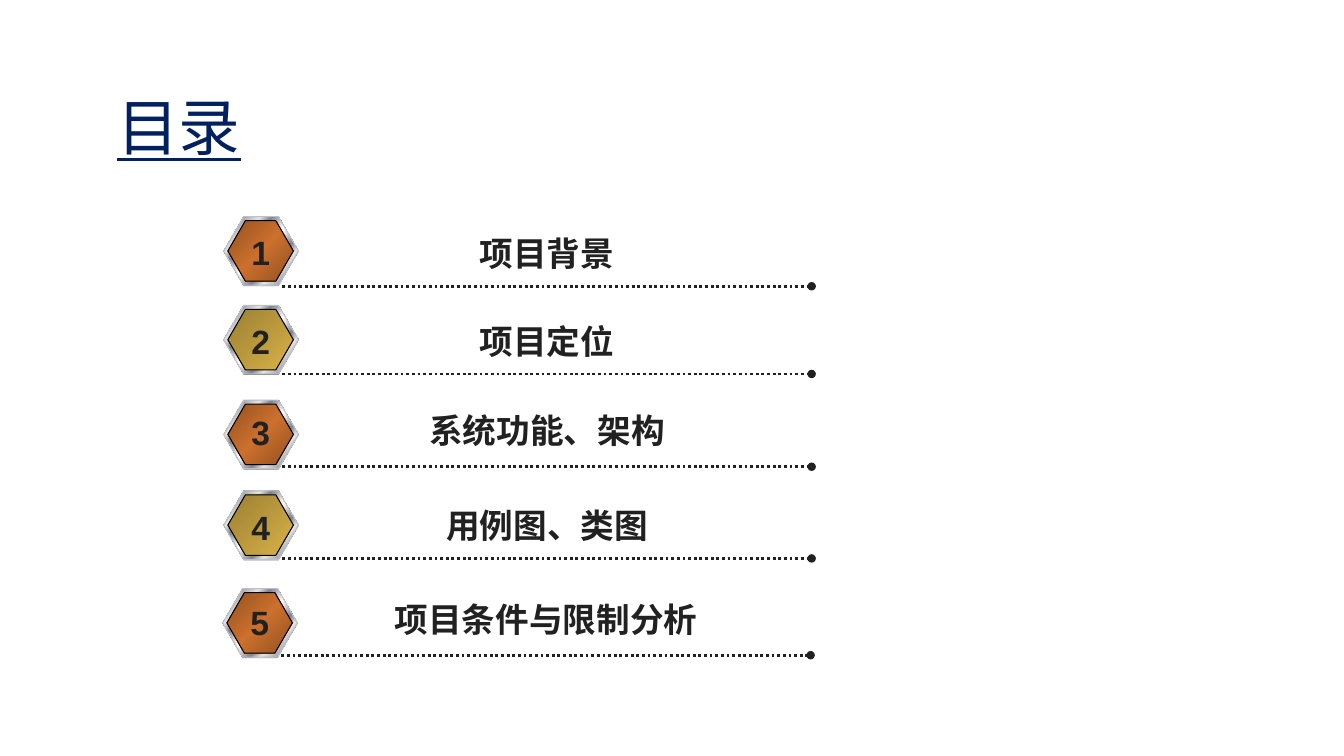
from lxml import etree
from pptx import Presentation
from pptx.dml.color import RGBColor
from pptx.enum.dml import MSO_LINE
from pptx.enum.shapes import MSO_CONNECTOR, MSO_SHAPE
from pptx.enum.text import MSO_ANCHOR, MSO_AUTO_SIZE, PP_ALIGN
from pptx.oxml.ns import qn
from pptx.util import Pt

PX = 9144
HEX = MSO_SHAPE.HEXAGON
LINE = MSO_CONNECTOR.STRAIGHT
DOTS = MSO_LINE.ROUND_DOT
CENTER = PP_ALIGN.CENTER
MIDDLE = MSO_ANCHOR.MIDDLE
TOP = MSO_ANCHOR.TOP
FIT = MSO_AUTO_SIZE.SHAPE_TO_FIT_TEXT
FIXED = MSO_AUTO_SIZE.NONE

COLORS = {
    "title": "002060", "ink": "212121", "shade": "808080",
    "edge": "C0C0C0", "black": "000000", "white": "FFFFFF",
    "silver": "E6E6E6", "steel": "7D8496",
    "rust": "925020", "orange": "CC702D",
    "olive": "9B7F33", "gold": "D9B247",
}
METAL = [(0, "silver"), (8, "steel"), (26, "silver"), (34, "steel"),
         (46, "silver"), (50, "white"), (54, "silver"), (66, "steel"),
         (74, "silver"), (92, "steel"), (100, "silver")]
COPPER = [(0, "rust"), (50, "orange"), (100, "rust")]
BRASS = [(0, "olive"), (100, "gold")]

ROWS = [
    ("项目背景", 222, 215, 11, 10, 69),
    ("项目定位", 222, 303, 10, 10, 68),
    ("系统功能、架构", 222, 397, 5, 7, 66),
    ("用例图、类图", 222, 487, 9, 11, 67),
    ("项目条件与限制分析", 221, 584, 5, 8, 66),
]


def px(*sizes):
    return [size * PX for size in sizes]


def color(name):
    return RGBColor.from_string(COLORS[name])


def write(shape, text, size=24, font="Arial", tint="ink", bold=False,
          under=False, wrap=True, anchor=TOP, fit=FIT):
    frame = shape.text_frame
    frame.word_wrap = wrap
    frame.auto_size = fit
    frame.vertical_anchor = anchor
    para = frame.paragraphs[0]
    para.alignment = CENTER
    run = para.add_run()
    run.text = text
    run.font.size = Pt(size)
    run.font.name = font
    run.font.bold = bold
    run.font.underline = under
    run.font.color.rgb = color(tint)


def blend(shape, stops):
    shape.fill.gradient()
    shape.fill.gradient_angle = 315
    group = shape.fill._xPr.find(qn("a:gradFill")).find(qn("a:gsLst"))
    for stop in list(group):
        group.remove(stop)
    for place, name in stops:
        stop = etree.SubElement(group, qn("a:gs"), pos=str(place * 1000))
        etree.SubElement(stop, qn("a:srgbClr"), val=COLORS[name])


def plate(shapes, box, stops=None, edge=None):
    shape = shapes.add_shape(HEX, *px(*box))
    shape.adjustments[0] = 0.29
    shape.shadow.inherit = False
    if stops:
        blend(shape, stops)
    else:
        shape.fill.solid()
        shape.fill.fore_color.rgb = color("shade")
    if edge:
        shape.line.color.rgb = color(edge)
        shape.line.width = Pt(0.75)
    else:
        shape.line.fill.background()


def rule(shapes, x, y, width):
    line = shapes.add_connector(LINE, *px(x, y, x + width, y))
    line.line.color.rgb = color("ink")
    line.line.width = Pt(2)
    line.line.dash_style = DOTS
    props = line._element.spPr
    etree.SubElement(props.find(qn("a:ln")), qn("a:tailEnd"), type="oval")
    etree.SubElement(props, qn("a:effectLst"))


def badge(shapes, x, y, drop, number):
    plate(shapes, (x, y + 1, 74, 68))
    plate(shapes, (x, y, 74, 68), METAL, "edge")
    plate(shapes, (x + 4, y + 4, 65, 60), COPPER if number % 2 else BRASS, "black")
    digit = shapes.add_textbox(*px(x + 17, y + drop, 39, 50))
    write(digit, str(number), bold=True, wrap=False)


def entry(slide, number, text, x, y, label, drop, base):
    shapes = slide.shapes.add_group_shape().shapes
    rule(shapes, x + 58, y + base, 525)
    write(shapes.add_textbox(*px(x + 108, y + label, 425, 50)), text, bold=True)
    badge(shapes, x, y, drop, number)


def heading(slide, box):
    title = slide.shapes.title
    title.left, title.top, title.width, title.height = px(*box)
    write(title, "目录", size=44, font="Times New Roman", tint="title",
          under=True, anchor=MIDDLE, fit=FIXED)


def main():
    deck = Presentation()
    deck.slide_width, deck.slide_height = px(1333, 750)
    slide = deck.slides.add_slide(deck.slide_layouts[5])
    heading(slide, (97, 74, 161, 101))
    for number, row in enumerate(ROWS, 1):
        entry(slide, number, *row)
    deck.save("out.pptx")


if __name__ == "__main__":
    main()
